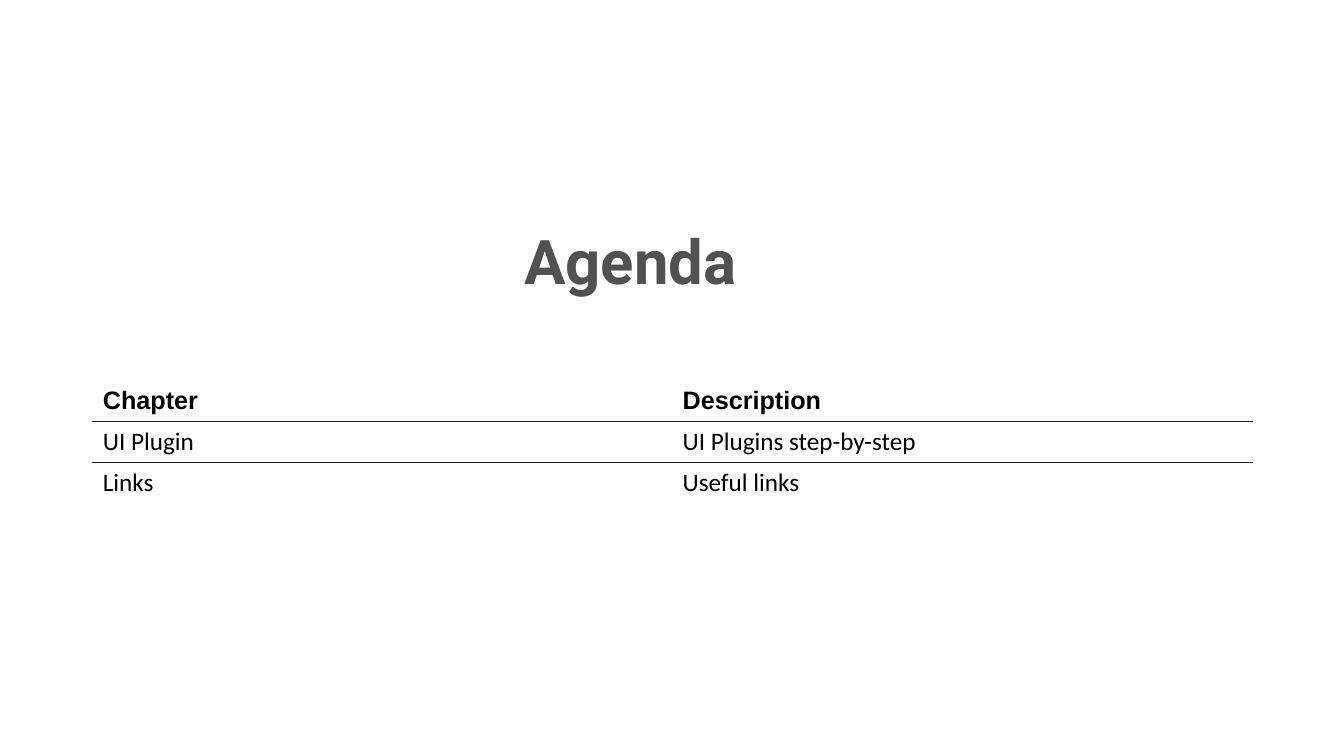
import dataclasses

import lxml.etree
import pptx
import pptx.dml.color
import pptx.enum.text
import pptx.oxml.ns
import pptx.util


@dataclasses.dataclass(frozen=True)
class Theme:
    paper: str = "FFFFFF"
    heading: str = "515151"
    text: str = "000000"
    rule: str = "301C0E"
    heading_font: str = "Roboto"
    header_font: str = "Arial"
    body_font: str = "Calibri"
    heading_size: float = 44
    text_size: float = 18
    rule_width: float = 0.75


THEME = Theme()
WIDTH, HEIGHT = 13.33, 7.5
TITLE_BOX = (5.2, 2.21, 2.26, 1.24)
AGENDA_BOX = (0.92, 3.78, 11.5, 1.2)
AGENDA = [
    ("Chapter", "Description"),
    ("UI Plugin", "UI Plugins step-by-step"),
    ("Links", "Useful links"),
]


def rgb(value):
    return pptx.dml.color.RGBColor.from_string(value)


def paint(fill, color):
    fill.solid()
    fill.fore_color.rgb = rgb(color)


def add_run(paragraph, words, font, size, color, bold):
    run = paragraph.add_run()
    run.text = words
    run.font.name = font
    run.font.size = pptx.util.Pt(size)
    run.font.color.rgb = rgb(color)
    run.font.bold = bold


def add_rules(cell, sides):
    """Draw the named sides ("lnT", "lnB") ahead of the cell's fill."""
    properties = cell._tc.get_or_add_tcPr()
    for position, side in enumerate(sides):
        line = lxml.etree.Element(pptx.oxml.ns.qn("a:" + side))
        line.set("w", str(pptx.util.Pt(THEME.rule_width)))
        solid = lxml.etree.SubElement(line, pptx.oxml.ns.qn("a:solidFill"))
        color = lxml.etree.SubElement(solid, pptx.oxml.ns.qn("a:srgbClr"))
        color.set("val", THEME.rule)
        properties.insert(position, line)


def place_title(slide, box):
    title = slide.shapes.title
    title.left, title.top, title.width, title.height = map(pptx.util.Inches, box)
    paint(title.fill, THEME.paper)
    frame = title.text_frame
    frame.word_wrap = True
    frame.auto_size = pptx.enum.text.MSO_AUTO_SIZE.NONE
    frame.vertical_anchor = pptx.enum.text.MSO_ANCHOR.TOP
    frame.margin_left = frame.margin_right = frame.margin_top = 0
    frame.margin_bottom = pptx.util.Inches(0.2)
    heading = frame.paragraphs[0]
    heading.alignment = pptx.enum.text.PP_ALIGN.LEFT
    add_run(heading, "Agenda", THEME.heading_font, THEME.heading_size,
            THEME.heading, True)


def place_agenda(slide, box, entries):
    frame = slide.shapes.add_table(
        len(entries), len(entries[0]), *map(pptx.util.Inches, box))
    agenda = frame.table
    agenda.horz_banding = False
    agenda.first_row = False
    last = len(entries) - 1
    for row, entry in enumerate(entries):
        is_header = row == 0
        # Rules run only between rows
        sides = ["lnT"] * (row > 0) + ["lnB"] * (row < last)
        for column, words in enumerate(entry):
            cell = agenda.cell(row, column)
            cell.vertical_anchor = pptx.enum.text.MSO_ANCHOR.MIDDLE
            paint(cell.fill, THEME.paper)
            add_rules(cell, sides)
            add_run(cell.text_frame.paragraphs[0], words,
                    THEME.header_font if is_header else THEME.body_font,
                    THEME.text_size, THEME.text, is_header)


def main():
    deck = pptx.Presentation()
    deck.slide_width = pptx.util.Inches(WIDTH)
    deck.slide_height = pptx.util.Inches(HEIGHT)
    slide = deck.slides.add_slide(deck.slide_layouts.get_by_name("Title Only"))
    paint(slide.background.fill, THEME.paper)

    # Chapter list
    place_agenda(slide, AGENDA_BOX, AGENDA)
    # Heading
    place_title(slide, TITLE_BOX)

    deck.save("out.pptx")


if __name__ == "__main__":
    main()
